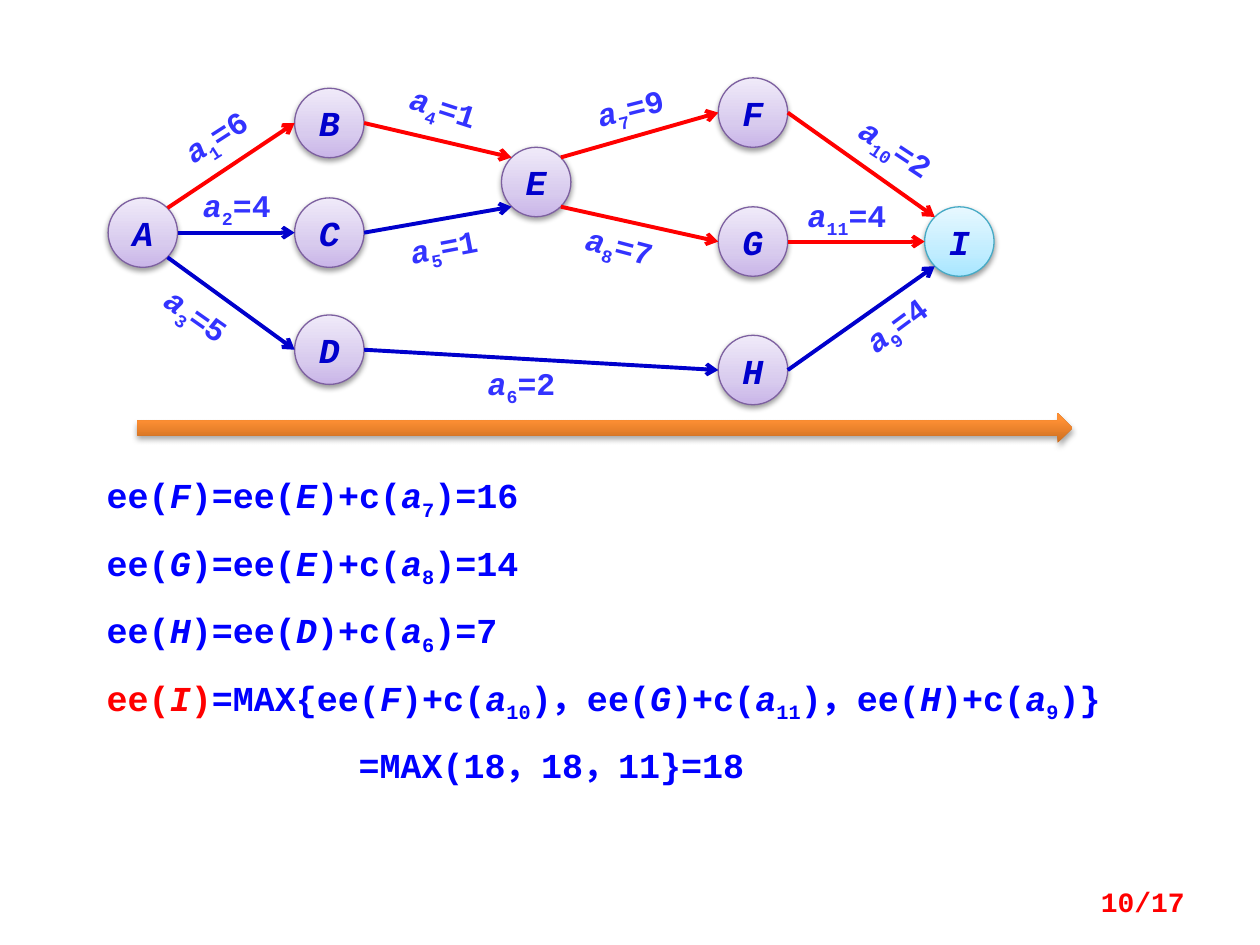
from typing import NamedTuple

from lxml import etree
from pptx import Presentation
from pptx.dml.color import RGBColor
from pptx.enum.shapes import MSO_CONNECTOR, MSO_SHAPE
from pptx.enum.text import MSO_ANCHOR, MSO_AUTO_SIZE, PP_ALIGN
from pptx.oxml.ns import qn
from pptx.util import Cm, Pt

STRAIGHT = MSO_CONNECTOR.STRAIGHT
OVAL = MSO_SHAPE.OVAL
RIGHT_ARROW = MSO_SHAPE.RIGHT_ARROW
MIDDLE = MSO_ANCHOR.MIDDLE
TOP = MSO_ANCHOR.TOP
FIT_SHAPE = MSO_AUTO_SIZE.SHAPE_TO_FIT_TEXT
CENTER, JUSTIFY, RIGHT = PP_ALIGN.CENTER, PP_ALIGN.JUSTIFY, PP_ALIGN.RIGHT

RED = RGBColor(0xFF, 0x00, 0x00)
BLUE = RGBColor(0x00, 0x00, 0xFF)
DARK_BLUE = RGBColor(0x00, 0x00, 0xCC)
LABEL_BLUE = RGBColor(0x33, 0x33, 0xFF)
PURPLE_LINE = RGBColor(0x7D, 0x60, 0xA0)
CYAN_LINE = RGBColor(0x46, 0xAA, 0xC5)
BLACK = RGBColor(0x00, 0x00, 0x00)
PURPLE_STOPS = ((0, RGBColor(0xC9, 0xB5, 0xE8)), (35, RGBColor(0xD8, 0xCB, 0xEE)),
                (100, RGBColor(0xF0, 0xEA, 0xF9)))
CYAN_STOPS = ((0, RGBColor(0xA7, 0xE6, 0xFF)), (35, RGBColor(0xC1, 0xED, 0xFF)),
              (100, RGBColor(0xE7, 0xF8, 0xFF)))
ORANGE_STOPS = ((0, RGBColor(0xCC, 0x6E, 0x20)), (80, RGBColor(0xFF, 0x90, 0x34)),
                (100, RGBColor(0xFF, 0x91, 0x36)))

FONT = "Courier New"
DIAMETER = 1.4
LABEL_WIDTH, LABEL_HEIGHT = 2.39, 0.78
DIAGONAL = 0.71
PORTS = {
    "left": (-1, 0), "right": (1, 0),
    "top left": (-DIAGONAL, -DIAGONAL), "top right": (DIAGONAL, -DIAGONAL),
    "bottom left": (-DIAGONAL, DIAGONAL), "bottom right": (DIAGONAL, DIAGONAL),
}


class Vertex(NamedTuple):
    name: str
    left: float
    top: float


class Edge(NamedTuple):
    source: str
    source_port: str
    target: str
    target_port: str
    color: RGBColor
    number: str
    weight: str
    label_left: float
    label_top: float
    rotation: float = 0


class Span(NamedTuple):
    text: str
    italic: bool = False
    subscript: bool = False
    color: RGBColor = BLUE


VERTICES = (
    Vertex("A", 2.18, 3.99), Vertex("B", 5.94, 1.78), Vertex("C", 5.94, 3.99),
    Vertex("D", 5.94, 6.35), Vertex("E", 10.11, 2.97), Vertex("F", 14.48, 1.57),
    Vertex("G", 14.48, 4.17), Vertex("H", 14.48, 6.76), Vertex("I", 18.64, 4.17),
)
EDGES = (
    Edge("A", "top right", "B", "left", RED, "1", "6", 3.15, 2.36, 327.3),
    Edge("A", "right", "C", "left", DARK_BLUE, "2", "4", 3.58, 3.76),
    Edge("A", "bottom right", "D", "left", DARK_BLUE, "3", "5", 2.77, 5.97, 35.2),
    Edge("B", "right", "E", "top left", RED, "4", "1", 7.75, 1.78, 17.8),
    Edge("C", "right", "E", "bottom left", DARK_BLUE, "5", "1", 7.75, 4.57, 349.2),
    Edge("D", "right", "H", "left", DARK_BLUE, "6", "2", 9.32, 7.34),
    Edge("E", "top right", "F", "left", RED, "7", "9", 11.51, 1.78, 346),
    Edge("E", "bottom right", "G", "left", RED, "8", "7", 11.3, 4.57, 14.7),
    Edge("H", "right", "I", "bottom left", DARK_BLUE, "9", "4", 16.87, 6.15, 323.4),
    Edge("F", "right", "I", "top left", RED, "10", "2", 16.87, 2.59, 33.4),
    Edge("G", "right", "I", "left", RED, "11", "4", 15.88, 3.96),
)


def earliest(vertex: str, color: RGBColor = BLUE) -> list[Span]:
    return [Span("ee(", color=color), Span(vertex, italic=True, color=color),
            Span(")", color=color)]


def arrival(vertex: str, number: str) -> list[Span]:
    return [*earliest(vertex), Span("+c("), Span("a", italic=True),
            Span(number, subscript=True), Span(")")]


def equation(vertex: str, source: str, number: str, result: str) -> list[Span]:
    return [*earliest(vertex), Span("="), *arrival(source, number), Span(f"={result}")]


def add_spans(para, spans, size: float) -> None:
    for span in spans:
        run = para.add_run()
        run.text = span.text
        font = run.font
        font.name, font.size, font.bold = FONT, Pt(size), True
        font.italic = span.italic
        font.color.rgb = span.color
        if span.subscript:
            font._element.set("baseline", "-25000")


def add_color(parent, color: RGBColor):
    return etree.SubElement(parent, qn("a:srgbClr"), val=str(color))


def add_gradient_shape(page, kind, left, top, width, height, stops, opacity):
    shape = page.shapes.add_shape(kind, Cm(left), Cm(top), Cm(width), Cm(height))
    shape.fill.gradient()
    shape.fill.gradient_angle = 90
    properties = shape._element.spPr
    stop_list = properties.find(qn("a:gradFill")).find(qn("a:gsLst"))
    for stop in list(stop_list):
        stop_list.remove(stop)
    for position, color in stops:
        add_color(etree.SubElement(stop_list, qn("a:gs"), pos=str(position * 1000)), color)
    shape.shadow.inherit = False
    shadow = etree.SubElement(
        properties.find(qn("a:effectLst")), qn("a:outerShdw"), blurRad="40000",
        dist="21000", dir="5400000", rotWithShape="0")
    etree.SubElement(add_color(shadow, BLACK), qn("a:alpha"), val=str(opacity * 1000))
    return shape


def add_text_box(page, left, top, width, height, inset=True):
    box = page.shapes.add_textbox(Cm(left), Cm(top), Cm(width), Cm(height))
    frame = box.text_frame
    frame.word_wrap = True
    if not inset:
        frame.margin_left = frame.margin_right = frame.margin_top = frame.margin_bottom = 0
    return box


def draw_vertex(page, vertex: Vertex) -> None:
    last = vertex.name == "I"
    circle = add_gradient_shape(page, OVAL, vertex.left, vertex.top, DIAMETER, DIAMETER,
                                CYAN_STOPS if last else PURPLE_STOPS, 38)
    circle.line.color.rgb = CYAN_LINE if last else PURPLE_LINE
    circle.line.width = Pt(0.75)
    frame = circle.text_frame
    frame.word_wrap = False
    frame.vertical_anchor = MIDDLE
    para = frame.paragraphs[0]
    para.alignment = CENTER
    add_spans(para, [Span(vertex.name, italic=True, color=DARK_BLUE)], 20)


def port_position(vertex: Vertex, port: str) -> tuple[Cm, Cm]:
    across, down = PORTS[port]
    radius = DIAMETER / 2
    return (Cm(vertex.left + radius * (1 + across)), Cm(vertex.top + radius * (1 + down)))


def draw_edge(page, edge: Edge, vertices: dict[str, Vertex]) -> None:
    start = port_position(vertices[edge.source], edge.source_port)
    end = port_position(vertices[edge.target], edge.target_port)
    connector = page.shapes.add_connector(STRAIGHT, *start, *end)
    connector.line.color.rgb = edge.color
    connector.line.width = Pt(2.25)
    properties = connector._element.spPr
    etree.SubElement(properties.find(qn("a:ln")), qn("a:tailEnd"), type="arrow")
    etree.SubElement(properties, qn("a:effectLst"))
    label = add_text_box(page, edge.label_left, edge.label_top, LABEL_WIDTH, LABEL_HEIGHT,
                         inset=False)
    label.rotation = edge.rotation
    para = label.text_frame.paragraphs[0]
    para.alignment = CENTER
    add_spans(para, [Span("a", italic=True, color=LABEL_BLUE),
                     Span(edge.number, subscript=True, color=LABEL_BLUE),
                     Span(f"={edge.weight}", color=LABEL_BLUE)], 18)


def draw_equations(page) -> None:
    lines = (
        equation("F", "E", "7", "16"),
        equation("G", "E", "8", "14"),
        equation("H", "D", "6", "7"),
        [*earliest("I", RED), Span("=MAX{"), *arrival("F", "10"), Span("，"),
         *arrival("G", "11"), Span("，"), *arrival("H", "9"), Span("}")],
        [Span("=MAX(18，18，11}=18")],
    )
    frame = add_text_box(page, 1.9, 9.42, 22.23, 6.25).text_frame
    frame.auto_size = FIT_SHAPE
    frame.vertical_anchor = TOP
    for index, spans in enumerate(lines):
        para = frame.add_paragraph() if index else frame.paragraphs[0]
        para.alignment = JUSTIFY
        if index:
            para.space_before = Pt(11.3)
        add_spans(para, spans, 20)
    para._p.get_or_add_pPr().set("marL", str(Cm(5.08)))


def main() -> None:
    deck = Presentation()
    deck.slide_width, deck.slide_height = Cm(25.4), Cm(19.05)
    page = deck.slides.add_slide(deck.slide_layouts[6])
    draw_equations(page)
    for vertex in VERTICES:
        draw_vertex(page, vertex)
    vertices = {vertex.name: vertex for vertex in VERTICES}
    for edge in EDGES:
        draw_edge(page, edge, vertices)
    timeline = add_gradient_shape(page, RIGHT_ARROW, 2.77, 8.33, 18.85, 0.6, ORANGE_STOPS, 35)
    timeline.line.fill.background()
    frame = add_text_box(page, 18.21, 17.65, 5.92, 1.02).text_frame
    frame.vertical_anchor = MIDDLE
    para = frame.paragraphs[0]
    para.alignment = RIGHT
    add_spans(para, [Span("10/17", color=RED)], 16)
    deck.save("out.pptx")


if __name__ == "__main__":
    main()
